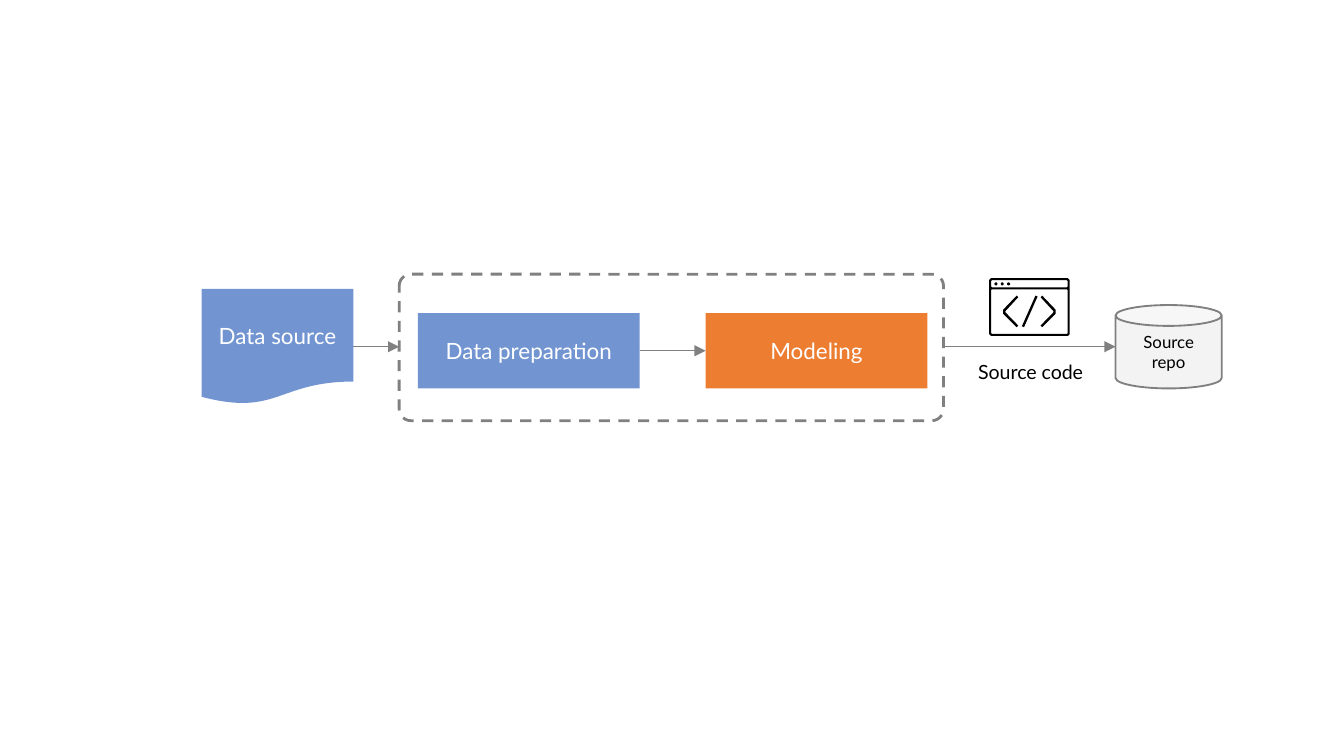
from pptx import Presentation
from pptx import util as u
from pptx.dml.color import RGBColor
from pptx.enum import dml, shapes, text
from pptx.oxml.ns import qn
from lxml import etree

BLUE = RGBColor(0x44, 0x72, 0xC4)
ORANGE = RGBColor(0xED, 0x7D, 0x31)
GRAY = RGBColor(0x80, 0x80, 0x80)
PALE = RGBColor(0xF2, 0xF2, 0xF2)
WHITE = RGBColor(0xFF, 0xFF, 0xFF)
BLACK = RGBColor(0x00, 0x00, 0x00)

FONT = "Lato"
KIND = shapes.MSO_SHAPE
FLOW_Y = 2.58          # axis of the outer arrows
STEP_Y, STEP_W, STEP_H = 2.33, 1.65, 0.56
STEP_X = [3.11, 5.25]  # left edges of the two steps
FRAME = (2.97, 2.04, 4.05, 1.09)


def write(shape, words, size, color, align=text.PP_ALIGN.CENTER):
    para = shape.text_frame.paragraphs[0]
    para.alignment = align
    run = para.add_run()
    run.text = words
    run.font.name = FONT
    run.font.size = u.Pt(size)
    run.font.color.rgb = color


def add_box(slide, kind, area, fill=None, alpha=100, line=None, width=1):
    """Preset shape with optional fill, opacity in percent and outline."""
    box = slide.shapes.add_shape(kind, *map(u.Inches, area))
    box.shadow.inherit = False
    if fill is None:
        box.fill.background()
    else:
        box.fill.solid()
        box.fill.fore_color.rgb = fill
        if alpha < 100:
            tone = box.fill._xPr.find(qn("a:solidFill"))[0]
            etree.SubElement(tone, qn("a:alpha"), val=str(alpha * 1000))
    if line is None:
        box.line.fill.background()
    else:
        box.line.color.rgb = line
        box.line.width = u.Pt(width)
    box.text_frame.word_wrap = True
    box.text_frame.vertical_anchor = text.MSO_ANCHOR.MIDDLE
    return box


def add_arrow(slide, start, end):
    line = slide.shapes.add_connector(
        shapes.MSO_CONNECTOR.STRAIGHT, *map(u.Inches, start + end))
    line.line.color.rgb = GRAY
    line.line.width = u.Pt(0.75)
    etree.SubElement(line.line._get_or_add_ln(), qn("a:tailEnd"),
                     type="triangle")
    etree.SubElement(line._element.spPr, qn("a:effectLst"))


def add_label(slide, area, words, size):
    label = slide.shapes.add_textbox(*map(u.Inches, area))
    label.text_frame.word_wrap = False
    label.text_frame.auto_size = text.MSO_AUTO_SIZE.SHAPE_TO_FIT_TEXT
    write(label, words, size, BLACK, text.PP_ALIGN.LEFT)


def pane(left, top, right, foot, cut):
    """Corner points of a rectangle with cut corners."""
    return [(left + cut, top), (right - cut, top), (right, top + cut),
            (right, foot - cut), (right - cut, foot), (left + cut, foot),
            (left, foot - cut), (left, top + cut)]


def add_icon(slide, left, top):
    """Browser window with a code tag, as one outline on a 600 x 430 grid."""
    angle = [(205, 130), (105, 235), (105, 265), (205, 365),
             (217, 353), (122, 255), (122, 245), (217, 142)]
    parts = [pane(0, 0, 600, 430, 14), pane(15, 15, 585, 68, 6),
             pane(15, 83, 585, 415, 6)]
    parts += [pane(x, 32, x + 22, 54, 7) for x in (40, 87, 134)]
    parts += [angle, [(600 - x, y) for x, y in angle],
              [(345, 130), (361, 137), (260, 365), (244, 358)]]

    pen = slide.shapes.build_freeform(*parts[0][0], scale=u.Inches(1) / 1000)
    pen.add_line_segments(parts[0][1:])
    for part in parts[1:]:
        pen.move_to(*part[0])
        pen.add_line_segments(part[1:])
    icon = pen.convert_to_shape(u.Inches(left), u.Inches(top))
    icon.shadow.inherit = False
    icon.fill.solid()
    icon.fill.fore_color.rgb = BLACK
    icon.line.fill.background()


def main():
    deck = Presentation()
    deck.slide_width = u.Inches(10)
    deck.slide_height = deck.slide_width * 9 // 16
    slide = deck.slides.add_slide(deck.slide_layouts[6])

    # Data source
    source = add_box(slide, KIND.FLOWCHART_DOCUMENT, (1.5, 2.15, 1.13, 0.86),
                     BLUE, 75)
    write(source, "Data source", 12, WHITE)

    # Steps inside the dashed frame
    steps = [("Data preparation", BLUE, 75), ("Modeling", ORANGE, 100)]
    for left, (words, fill, alpha) in zip(STEP_X, steps):
        step = add_box(slide, KIND.RECTANGLE, (left, STEP_Y, STEP_W, STEP_H),
                       fill, alpha)
        write(step, words, 12, WHITE)
    frame = add_box(slide, KIND.ROUNDED_RECTANGLE, FRAME, line=GRAY, width=1.5)
    frame.adjustments[0] = 0.08
    frame.line.dash_style = dml.MSO_LINE.DASH

    # Source code and its store
    add_icon(slide, 7.36, 2.07)
    add_label(slide, (7.18, 2.63, 1.01, 0.29), "Source code", 10.5)
    store = add_box(slide, KIND.CAN, (8.3, 2.27, 0.79, 0.62), PALE, 88, GRAY)
    write(store, "Source repo", 9, BLACK)

    # Arrows
    mid = STEP_Y + STEP_H / 2
    add_arrow(slide, (2.63, FLOW_Y), (FRAME[0], FLOW_Y))
    add_arrow(slide, (STEP_X[0] + STEP_W, mid), (STEP_X[1], mid))
    add_arrow(slide, (FRAME[0] + FRAME[2], FLOW_Y), (8.3, FLOW_Y))

    deck.save("out.pptx")


if __name__ == "__main__":
    main()
